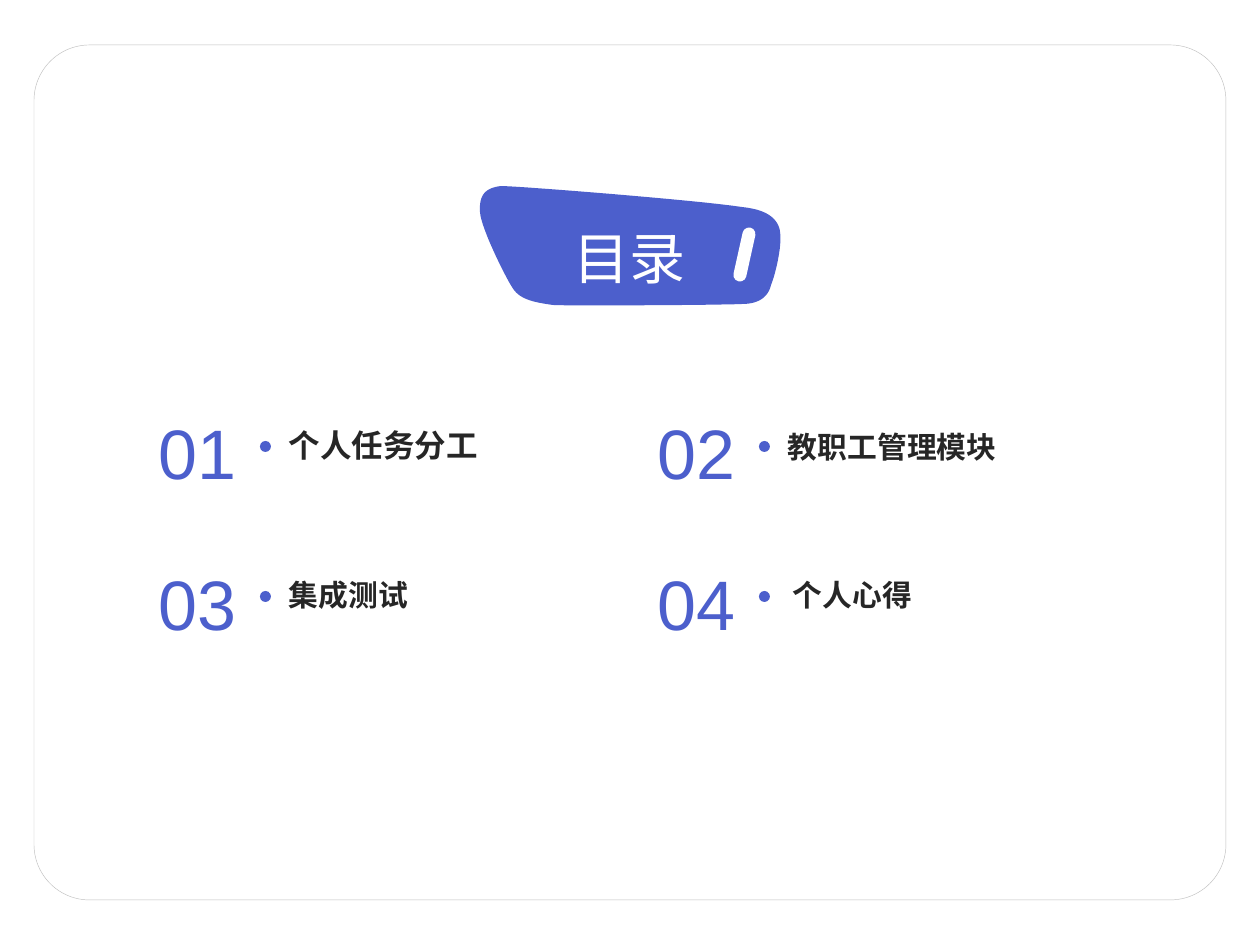
from dataclasses import dataclass

from pptx import Presentation
from pptx.dml.color import RGBColor
from pptx.enum.shapes import MSO_SHAPE
from pptx.enum.text import MSO_ANCHOR, MSO_AUTO_SIZE, PP_ALIGN
from pptx.util import Pt

EMU_PER_PX = 914400 / 126
ROUNDED, OVAL = MSO_SHAPE.ROUNDED_RECTANGLE, MSO_SHAPE.OVAL
TOP, MIDDLE = MSO_ANCHOR.TOP, MSO_ANCHOR.MIDDLE
NO_FIT, LEFT = MSO_AUTO_SIZE.NONE, PP_ALIGN.LEFT
TITLE_ONLY = 5
CURVE_STEPS = 16


@dataclass(frozen=True)
class Theme:
    font: str = "Arial"
    accent: str = "4C5FCC"
    ink: str = "262626"
    paper: str = "FFFFFF"
    border: str = "BFBFBF"
    title_size: int = 32
    number_size: int = 40
    first_item_size: int = 18
    item_size: int = 17


THEME = Theme()
COLUMN_PITCH, ROW_PITCH = 499, 150
ITEMS = [
    ("个人任务分工", THEME.first_item_size, 0.9, 0),
    ("教职工管理模块", THEME.item_size, 1.0, 0),
    ("集成测试", THEME.item_size, 0.9, 0),
    ("个人心得", THEME.item_size, 0.9, 5),
]
BADGE_START = (480, 212)
BADGE_CURVES = [
    ((481, 228), (505, 276), (512, 287)),
    ((519, 299), (532, 302), (553, 305)),
    ((573, 306), (723, 305), (742, 304)),
    ((762, 304), (769, 294), (771, 285)),
    ((775, 276), (784, 241), (779, 227)),
    ((774, 214), (760, 209), (742, 207)),
    ((696, 200), (517, 186), (501, 186)),
    ((485, 188), (479, 195), (480, 212)),
]


def px(length):
    return round(length * EMU_PER_PX)


def set_all(target, values):
    for name, value in values.items():
        setattr(target, name, value)


def paint(shape, color, border=None):
    shape.shadow.inherit = False
    shape.fill.solid()
    shape.fill.fore_color.rgb = RGBColor.from_string(color)
    if border:
        shape.line.color.rgb = RGBColor.from_string(border)
        shape.line.width = Pt(0.25)
    else:
        shape.line.fill.background()


def add_shape(page, kind, area, color, border=None):
    shape = page.shapes.add_shape(kind, *map(px, area))
    paint(shape, color, border)
    return shape


def write(box, text, size, color, bold=False, spacing=1.0, anchor=MIDDLE, margins=(13, 6, 13, 6)):
    left, top, right, bottom = map(px, margins)
    set_all(box.text_frame, {
        "word_wrap": True, "auto_size": NO_FIT, "vertical_anchor": anchor,
        "margin_left": left, "margin_top": top,
        "margin_right": right, "margin_bottom": bottom,
    })
    para = box.text_frame.paragraphs[0]
    set_all(para, {"alignment": LEFT, "line_spacing": spacing})
    span = para.add_run()
    span.text = text
    set_all(span.font, {"name": THEME.font, "size": Pt(size), "bold": bold})
    span.font.color.rgb = RGBColor.from_string(color)


def add_text(page, area, text, size, color, **options):
    box = page.shapes.add_textbox(*map(px, area))
    write(box, text, size, color, **options)


def curve_point(points, t):
    weights = ((1 - t) ** 3, 3 * t * (1 - t) ** 2, 3 * t ** 2 * (1 - t), t ** 3)
    return tuple(px(sum(w * p[axis] for w, p in zip(weights, points))) for axis in (0, 1))


def add_badge(page):
    builder = page.shapes.build_freeform(*map(px, BADGE_START))
    start, outline = BADGE_START, []
    for curve in BADGE_CURVES:
        points = (start, *curve)
        outline += [curve_point(points, step / CURVE_STEPS) for step in range(1, CURVE_STEPS + 1)]
        start = curve[-1]
    builder.add_line_segments(outline, close=True)
    paint(builder.convert_to_shape(), THEME.accent)
    stripe = add_shape(page, ROUNDED, (738, 227, 13, 55), THEME.paper)
    stripe.adjustments[0] = 0.5
    stripe.rotation = 12.5


def add_title(page, text):
    title = page.shapes.title
    page.shapes._spTree.append(title._element)
    left, top, width, height = map(px, (561, 214, 145, 86))
    set_all(title, {"left": left, "top": top, "width": width, "height": height})
    write(title, text, THEME.title_size, THEME.paper)


def add_entry(page, index, text, size, spacing, shift):
    row, column = divmod(index, 2)
    x, y = 159 + column * COLUMN_PITCH, 404 + row * ROW_PITCH
    add_text(page, (x, y, 95, 84), f"{index + 1:02d}", THEME.number_size, THEME.accent,
             anchor=TOP, margins=(0, 6, 0, 0))
    add_text(page, (x + 117 + shift, y + 19, 304, 48), text, size, THEME.ink,
             bold=True, spacing=spacing)
    add_shape(page, OVAL, (x + 101, y + 37, 11, 11), THEME.accent)


def main():
    deck = Presentation()
    deck.slide_width, deck.slide_height = px(1260), px(945)
    page = deck.slides.add_slide(deck.slide_layouts[TITLE_ONLY])
    frame = add_shape(page, ROUNDED, (34, 45, 1192, 855), THEME.paper, THEME.border)
    frame.adjustments[0] = 0.065
    for index, item in enumerate(ITEMS):
        add_entry(page, index, *item)
    add_badge(page)
    add_title(page, "目录")
    deck.save("out.pptx")


if __name__ == "__main__":
    main()
